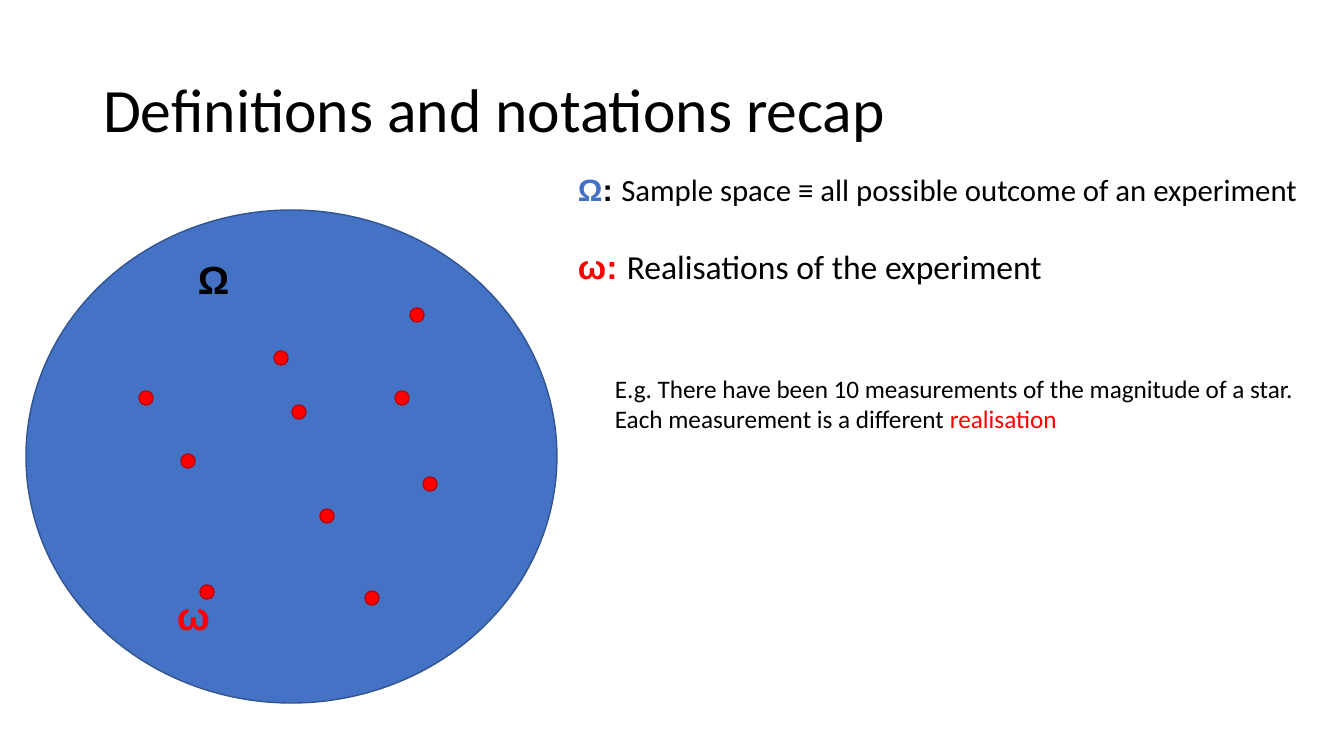
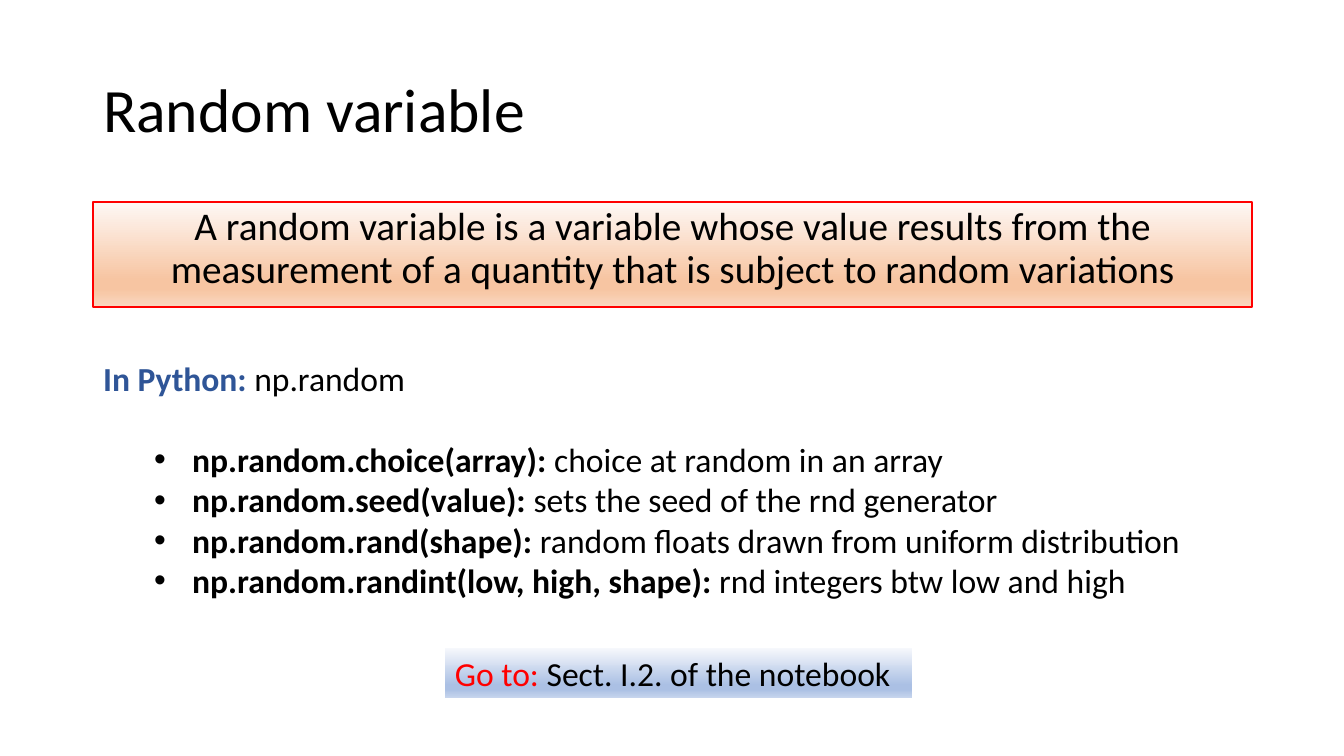
from dataclasses import dataclass
from typing import Any

import lxml.etree
import pptx
import pptx.dml.color
import pptx.enum.shapes
import pptx.enum.text
import pptx.oxml.ns
import pptx.util

EMU_PER_PIXEL = 914400 / 100.8
ALIGN = pptx.enum.text.PP_ALIGN
ANCHOR = pptx.enum.text.MSO_ANCHOR
AUTO_SIZE = pptx.enum.text.MSO_AUTO_SIZE


@dataclass(frozen=True)
class Theme:
    text_font: str = "Calibri"
    symbol_font: str = "Arial"
    black: str = "000000"
    red: str = "FF0000"
    dot_edge: str = "C00000"
    blue: str = "4472C4"
    blue_edge: str = "325491"
    heading_blue: str = "2F5597"
    orange_gradient: tuple[str, ...] = ("FEF8F5", "F7C5A2", "F7C5A2", "FAD8C1")
    blue_gradient: tuple[str, ...] = ("F6F8FC", "ABC0E4", "ABC0E4", "C7D5ED")
    gradient_stops: tuple[int, ...] = (0, 74, 83, 100)
    title_size: int = 44
    large_size: int = 28
    text_size: int = 24
    definition_size: int = 22
    note_size: int = 18


THEME = Theme()


@dataclass(frozen=True)
class Box:
    left: int
    top: int
    width: int
    height: int


@dataclass(frozen=True)
class Run:
    text: str
    size: int = THEME.text_size
    color: str = THEME.black
    bold: bool = False
    font: str = THEME.text_font


@dataclass(frozen=True)
class Paragraph:
    runs: tuple[Run, ...]
    space_before: int = 0
    line_spacing: float = 1.0
    alignment: Any = ALIGN.LEFT
    bulleted: bool = False
    tab_stop: int = 0


TITLE_BOX = Box(93, 40, 1159, 146)
SAMPLE_SPACE_BOX = Box(26, 210, 531, 493)
DOT_SIZE = 14
DOT_CENTRES = (
    (299, 412), (417, 315), (146, 398), (327, 516), (430, 484),
    (188, 461), (207, 592), (402, 398), (372, 598), (281, 358),
)
BULLET_MARGIN = 89
BULLET_INDENT = -38
FUNCTIONS = (
    ("np.random.choice(array): ", "choice at random in an array"),
    ("np.random.seed(value): ", "sets the seed of the rnd generator"),
    ("np.random.rand(shape): ", "random floats drawn from uniform distribution"),
    ("np.random.randint(low, high, shape): ", "rnd integers btw low and high"),
)


def emu(pixels: int) -> int:
    return round(pixels * EMU_PER_PIXEL)


def rgb(value: str) -> Any:
    return pptx.dml.color.RGBColor.from_string(value)


def set_attributes(target: Any, values: dict[str, Any]) -> None:
    for name, value in values.items():
        setattr(target, name, value)


def place(shape: Any, box: Box) -> None:
    set_attributes(shape, {
        "left": emu(box.left), "top": emu(box.top),
        "width": emu(box.width), "height": emu(box.height),
    })


def add_element(parent: Any, tag: str, **attributes: str) -> Any:
    return lxml.etree.SubElement(parent, pptx.oxml.ns.qn(tag), attributes)


def set_outline(shape: Any, color: str, width: int) -> None:
    shape.line.color.rgb = rgb(color)
    shape.line.width = pptx.util.Pt(width)


def set_gradient(shape: Any, colors: tuple[str, ...]) -> None:
    shape.fill.gradient()
    shape.fill.gradient_angle = 270
    stops = shape.element.spPr.find(".//" + pptx.oxml.ns.qn("a:gsLst"))
    for stop in list(stops):
        stops.remove(stop)
    for position, color in zip(THEME.gradient_stops, colors):
        stop = add_element(stops, "a:gs", pos=str(position * 1000))
        add_element(stop, "a:srgbClr", val=color)


def set_paragraph_marks(paragraph: Any, content: Paragraph) -> None:
    properties = paragraph._p.get_or_add_pPr()
    if content.bulleted:
        paragraph.level = 1
        properties.set("marL", str(emu(BULLET_MARGIN)))
        properties.set("indent", str(emu(BULLET_INDENT)))
        add_element(properties, "a:buFont", typeface=THEME.symbol_font)
        add_element(properties, "a:buChar", char="•")
    else:
        properties.set("marL", "0")
        properties.set("indent", "0")
        add_element(properties, "a:buNone")
    if content.tab_stop:
        tabs = add_element(properties, "a:tabLst")
        add_element(tabs, "a:tab", pos=str(emu(content.tab_stop)), algn="l")


def write_text(shape: Any, paragraphs: list[Paragraph], frame_format: dict[str, Any]) -> None:
    frame = shape.text_frame
    set_attributes(frame, frame_format)
    for index, content in enumerate(paragraphs):
        paragraph = frame.add_paragraph() if index else frame.paragraphs[0]
        set_attributes(paragraph, {
            "alignment": content.alignment,
            "line_spacing": content.line_spacing,
            "space_before": pptx.util.Pt(content.space_before),
            "space_after": pptx.util.Pt(0),
        })
        set_paragraph_marks(paragraph, content)
        for piece in content.runs:
            run = paragraph.add_run()
            run.text = piece.text
            set_attributes(run.font, {
                "name": piece.font, "size": pptx.util.Pt(piece.size), "bold": piece.bold,
            })
            run.font.color.rgb = rgb(piece.color)


def fill_placeholder(
    shape: Any, box: Box, paragraphs: list[Paragraph], anchor: Any = ANCHOR.TOP
) -> None:
    place(shape, box)
    write_text(shape, paragraphs, {
        "word_wrap": True, "auto_size": AUTO_SIZE.NONE, "vertical_anchor": anchor,
    })


def add_label(slide: Any, box: Box, paragraphs: list[Paragraph]) -> Any:
    shape = slide.shapes.add_textbox(0, 0, 0, 0)
    place(shape, box)
    write_text(shape, paragraphs, {
        "word_wrap": False, "auto_size": AUTO_SIZE.SHAPE_TO_FIT_TEXT,
    })
    return shape


def add_ellipse(slide: Any, box: Box, fill: str, edge: str) -> None:
    shape = slide.shapes.add_shape(pptx.enum.shapes.MSO_SHAPE.OVAL, 0, 0, 0, 0)
    place(shape, box)
    shape.shadow.inherit = False
    shape.fill.solid()
    shape.fill.fore_color.rgb = rgb(fill)
    set_outline(shape, edge, 1)


def add_titled_slide(presentation: Any, layout_name: str, title: str) -> Any:
    layout = presentation.slide_layouts.get_by_name(layout_name)
    slide = presentation.slides.add_slide(layout)
    heading = Paragraph((Run(title, THEME.title_size),), line_spacing=0.9)
    fill_placeholder(slide.shapes.title, TITLE_BOX, [heading], ANCHOR.MIDDLE)
    return slide


def symbol(text: str, size: int, color: str = THEME.black) -> Run:
    return Run(text, size, color, True, THEME.symbol_font)


def build_definitions(presentation: Any) -> None:
    slide = add_titled_slide(presentation, "Title Only", "Definitions and notations recap")
    add_ellipse(slide, SAMPLE_SPACE_BOX, THEME.blue, THEME.blue_edge)
    add_label(slide, Box(188, 250, 50, 57), [Paragraph((symbol("Ω", THEME.large_size),))])
    size = THEME.definition_size
    add_label(slide, Box(568, 166, 744, 163), [
        Paragraph((
            symbol("Ω", size, THEME.blue),
            symbol(": ", size),
            Run("Sample space ≡ all possible outcome of an experiment", size),
        )),
        Paragraph((
            symbol("ω: ", THEME.text_size, THEME.red),
            Run("Realisations of the experiment"),
        ), space_before=27),
    ])
    for x, y in DOT_CENTRES:
        dot = Box(x - DOT_SIZE // 2, y - DOT_SIZE // 2, DOT_SIZE, DOT_SIZE)
        add_ellipse(slide, dot, THEME.red, THEME.dot_edge)
    add_label(slide, Box(167, 586, 47, 57), [
        Paragraph((symbol("ω", THEME.large_size, THEME.red),)),
    ])
    size = THEME.note_size
    add_label(slide, Box(605, 368, 713, 72), [
        Paragraph((
            Run("E.g. There have been 10 measurements of the magnitude of a star. ", size),
        )),
        Paragraph((
            Run("Each measurement is a different ", size),
            Run("realisation", size, THEME.red),
        )),
    ])


def build_random_variable(presentation: Any) -> None:
    slide = add_titled_slide(presentation, "Two Content", "Random variable")
    definition, function_list = list(slide.placeholders)[1:3]
    statement = Run(
        "A random variable is a variable whose value results from the measurement "
        "of a quantity that is subject to random variations",
        THEME.large_size,
    )
    fill_placeholder(definition, Box(93, 202, 1159, 105), [
        Paragraph((statement,), 10, 0.9, ALIGN.CENTER),
    ])
    set_gradient(definition, THEME.orange_gradient)
    set_outline(definition, THEME.red, 2)

    heading = Paragraph((
        Run("In Python:\t", color=THEME.heading_blue, bold=True), Run("np.random"),
    ), tab_stop=302)
    entries = [
        Paragraph(
            (Run(name, bold=True), Run(purpose)),
            space_before=0 if index else 29,
            bulleted=True,
        )
        for index, (name, purpose) in enumerate(FUNCTIONS)
    ]
    fill_placeholder(function_list, Box(93, 353, 1159, 295), [heading, *entries])

    pointer = add_label(slide, Box(445, 648, 467, 50), [
        Paragraph((Run("Go to: ", color=THEME.red), Run("Sect. I.2. of the notebook "))),
    ])
    set_gradient(pointer, THEME.blue_gradient)


def main() -> None:
    presentation = pptx.Presentation()
    set_attributes(presentation, {"slide_width": emu(1344), "slide_height": emu(756)})
    build_definitions(presentation)
    build_random_variable(presentation)
    presentation.save("out.pptx")


main()
